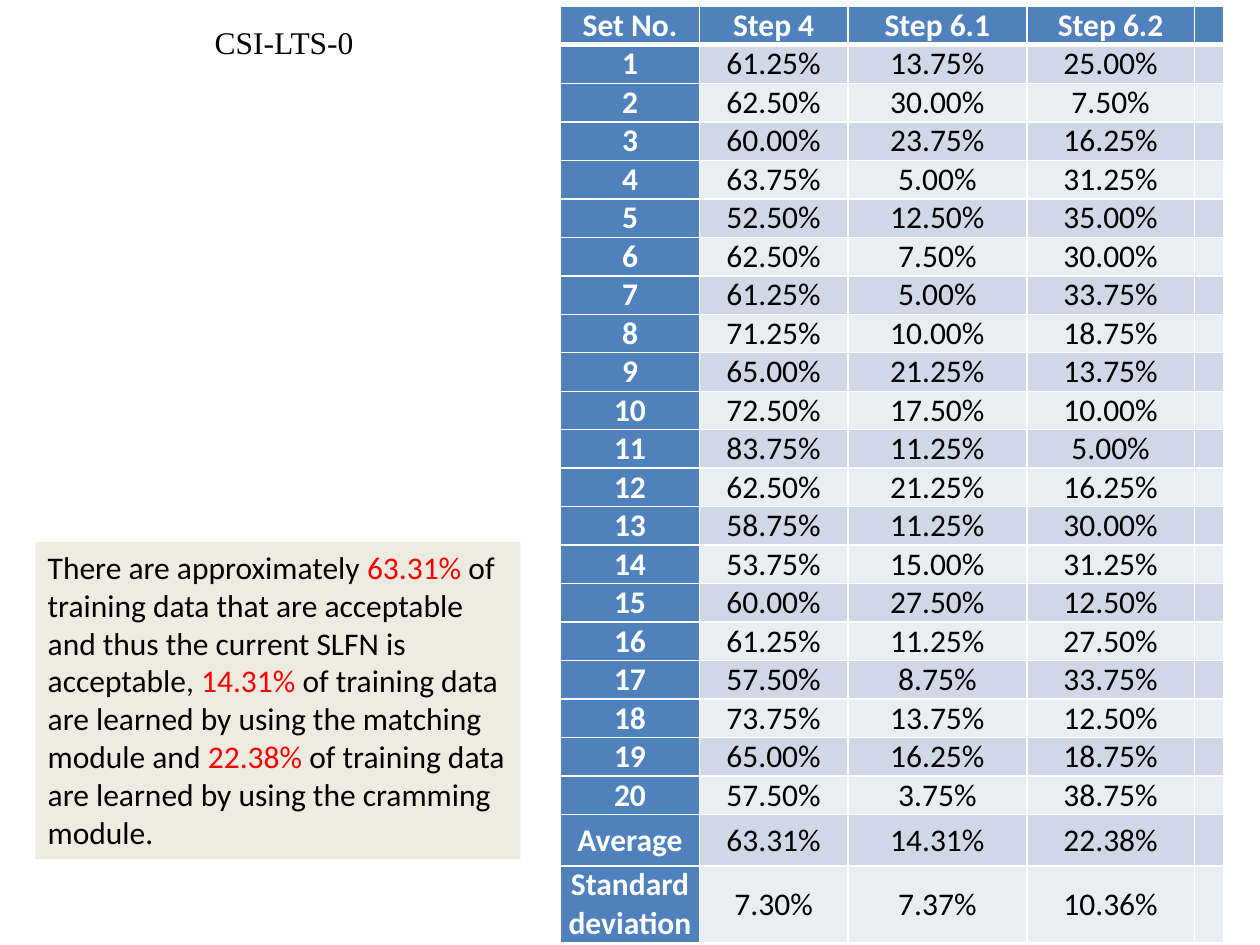
from lxml.etree import SubElement
from pptx import Presentation
from pptx.dml.color import RGBColor
from pptx.enum.shapes import MSO_SHAPE
from pptx.enum.text import MSO_ANCHOR, MSO_AUTO_SIZE, PP_ALIGN
from pptx.oxml.ns import qn
from pptx.util import Inches, Pt

COLORS = {
    "white": "FFFFFF", "black": "000000", "red": "FF0000", "head": "4F81BD",
    "odd": "D0D8E8", "even": "E9EDF4", "note": "EEECE1",
}
HEADS = ["Set No.", "Step 4", "Step 6.1", "Step 6.2"]
SETS = [
    (61.25, 13.75, 25.00), (62.50, 30.00, 7.50), (60.00, 23.75, 16.25),
    (63.75, 5.00, 31.25), (52.50, 12.50, 35.00), (62.50, 7.50, 30.00),
    (61.25, 5.00, 33.75), (71.25, 10.00, 18.75), (65.00, 21.25, 13.75),
    (72.50, 17.50, 10.00), (83.75, 11.25, 5.00), (62.50, 21.25, 16.25),
    (58.75, 11.25, 30.00), (53.75, 15.00, 31.25), (60.00, 27.50, 12.50),
    (61.25, 11.25, 27.50), (57.50, 8.75, 33.75), (73.75, 13.75, 12.50),
    (65.00, 16.25, 18.75), (57.50, 3.75, 38.75),
]
TOTALS = [("Average", 63.31, 14.31, 22.38), ("Standard deviation", 7.30, 7.37, 10.36)]
WIDTHS = [1.1, 1.18, 1.42, 1.33, 0.23]
NOTE = [
    ("There are approximately ", "black"), ("63.31% ", "red"),
    ("of training data that are acceptable and thus the current SLFN is acceptable, ", "black"),
    ("14.31%", "red"),
    (" of training data are learned by using the matching module and ", "black"),
    ("22.38% ", "red"),
    ("of training data are learned by using the cramming module.", "black"),
]


def color(name):
    """Return the named colour."""
    return RGBColor.from_string(COLORS[name])


def style(font, tint="black", face="Calibri", bold=False):
    """Set the slide's text size with a face, colour and weight."""
    font.size, font.name, font.bold = Pt(18), face, bold
    font.color.rgb = color(tint)


def border(cell, sides):
    """Draw white cell borders from a dict of side to points."""
    props = cell._tc.get_or_add_tcPr()
    for side, width in sides.items():
        line = SubElement(props, qn(f"a:ln{side}"), w=str(Pt(width)))
        fill = SubElement(line, qn("a:solidFill"))
        SubElement(fill, qn("a:srgbClr"), val=COLORS["white"])


def fill_cell(cell, text, row, col):
    """Write and format one table cell by its place in the grid."""
    head = row == 0 or col == 0
    cell.text = text
    border(cell, {"L": 1, "R": 1, "T": 3 if row == 1 else 1, "B": 3 if row == 0 else 1})
    cell.fill.solid()
    cell.fill.fore_color.rgb = color("head" if head else "odd" if row % 2 else "even")
    cell.margin_left = cell.margin_right = Inches(0.06 if head else 0.07)
    if text or row != len(SETS) + 1:
        cell.margin_top = cell.margin_bottom = 0
    cell.vertical_anchor = MSO_ANCHOR.TOP if row == col == 0 else MSO_ANCHOR.MIDDLE
    par = cell.text_frame.paragraphs[0]
    par.alignment = PP_ALIGN.CENTER
    style(par.font, "white" if head else "black", bold=head)


def add_grid(slide):
    """Add the table of results per set."""
    data = [(str(num), *vals) for num, vals in enumerate(SETS, 1)] + TOTALS
    rows = [HEADS] + [[name] + [f"{val:.2f}%" for val in vals] for name, *vals in data]
    highs = [0.23] + [0.29] * (len(rows) - 2) + [0.46]
    table = slide.shapes.add_table(
        len(rows), len(WIDTHS), Inches(4.45), Inches(0.05),
        Inches(sum(WIDTHS)), Inches(sum(highs))).table
    for col, width in zip(table.columns, WIDTHS):
        col.width = Inches(width)
    for row, texts in enumerate(rows):
        table.rows[row].height = Inches(highs[row])
        for col, text in enumerate(texts + [""]):
            fill_cell(table.cell(row, col), text, row, col)


def add_note(slide):
    """Add the shaded summary with its figures in red."""
    box = slide.shapes.add_shape(
        MSO_SHAPE.RECTANGLE, Inches(0.28), Inches(4.3), Inches(3.85), Inches(2.52))
    box.shadow.inherit = False
    box.fill.solid()
    box.fill.fore_color.rgb = color("note")
    box.line.fill.background()
    frame = box.text_frame
    frame.word_wrap = True
    frame.auto_size = MSO_AUTO_SIZE.SHAPE_TO_FIT_TEXT
    frame.vertical_anchor = MSO_ANCHOR.TOP
    par = frame.paragraphs[0]
    par.alignment = PP_ALIGN.LEFT
    for text, tint in NOTE:
        run = par.add_run()
        run.text = text
        style(run.font, tint)


def set_title(slide, text):
    """Place and format the title."""
    title = slide.shapes.title
    title.left, title.top = Inches(0.28), Inches(0.13)
    title.width, title.height = Inches(3.95), Inches(0.47)
    frame = title.text_frame
    frame.text = text
    frame.auto_size = MSO_AUTO_SIZE.NONE
    frame.vertical_anchor = MSO_ANCHOR.TOP
    par = frame.paragraphs[0]
    par.alignment = PP_ALIGN.CENTER
    style(par.font, face="Times New Roman")


def main():
    """Build and save the slide."""
    deck = Presentation()
    deck.slide_width, deck.slide_height = Inches(10), Inches(7.5)
    slide = deck.slides.add_slide(deck.slide_layouts[5])
    add_grid(slide)
    add_note(slide)
    set_title(slide, "CSI-LTS-0")
    deck.save("out.pptx")


if __name__ == "__main__":
    main()
